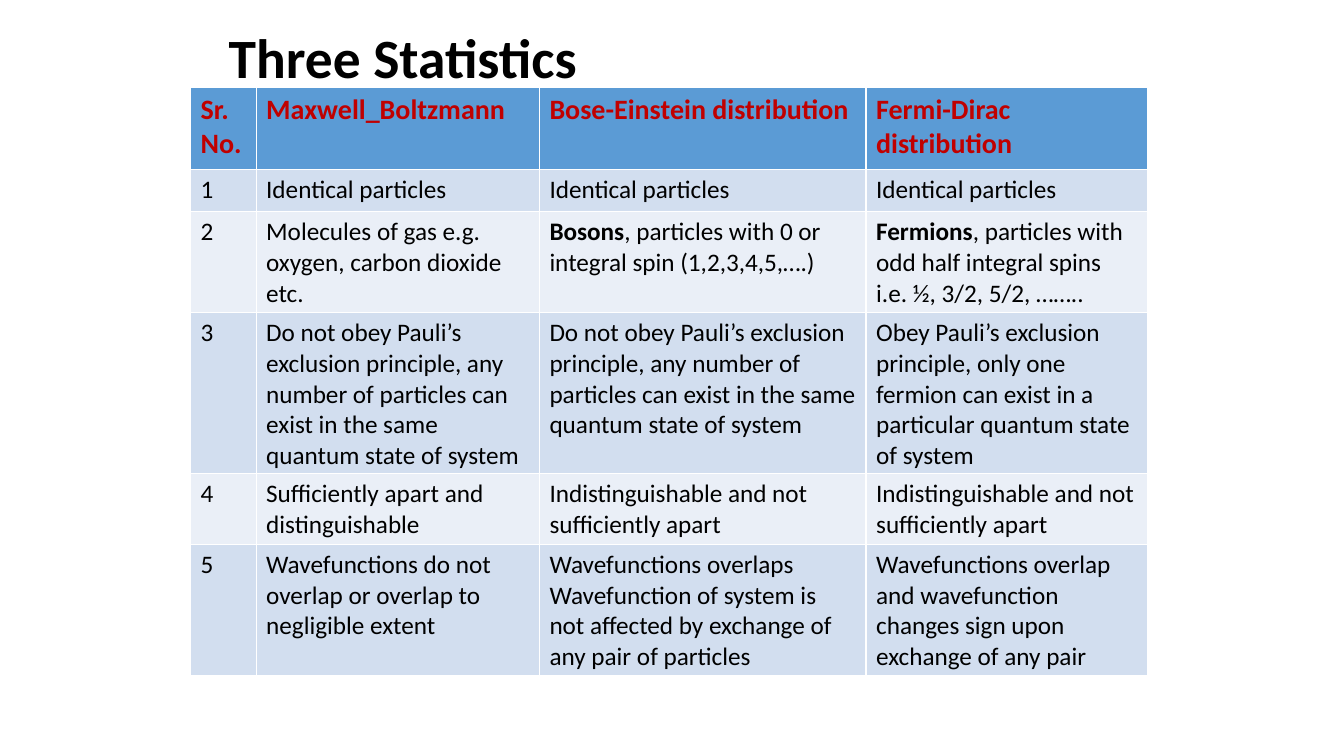
"""Build a slide with a table comparing the three statistics."""
from pptx import Presentation
from pptx.dml.color import RGBColor
from pptx.enum.text import MSO_ANCHOR
from pptx.util import Inches, Pt

TITLE = "Three Statistics"
HEADER = ["Sr. No.", "Maxwell_Boltzmann", "Bose-Einstein distribution", "Fermi-Dirac distribution"]
EXCLUSION_FREE = ("Do not obey Pauli’s exclusion principle, any number of particles "
                  "can exist in the same quantum state of system")
INDISTINCT = "Indistinguishable and not sufficiently apart"
PROPERTIES = [
    ["Identical particles"] * 3,
    ["Molecules of gas e.g. oxygen, carbon dioxide etc.",
     ("Bosons", ", particles with 0 or integral spin (1,2,3,4,5,….)"),
     ("Fermions", ", particles with odd half integral spins i.e. ½, 3/2, 5/2, ……..")],
    [EXCLUSION_FREE, EXCLUSION_FREE,
     "Obey Pauli’s exclusion principle, only one fermion can exist in a particular "
     "quantum state of system"],
    ["Sufficiently apart and distinguishable", INDISTINCT, INDISTINCT],
    ["Wavefunctions do not overlap or overlap to negligible extent",
     "Wavefunctions overlaps Wavefunction of system is not affected by exchange of "
     "any pair of particles",
     "Wavefunctions overlap and wavefunction changes sign upon exchange of any pair"],
]
COL_WIDTHS = [0.65, 2.81, 3.24, 2.79]
ROW_HEIGHTS = [0.81, 0.42, 1, 1.6, 0.7, 1.3]
COLORS = {"header": "5B9BD5", "odd": "D2DEEF", "even": "EAEFF7", "red": "C00000", "black": "000000"}


def style(p, size, color, bold=None):
    p.font.name = "Calibri"
    p.font.size = Pt(size)
    p.font.bold = bold
    p.font.color.rgb = RGBColor.from_string(COLORS[color])


def fill_cell(cell, content, row):
    cell.fill.solid()
    band = "header" if row == 0 else "odd" if row % 2 else "even"
    cell.fill.fore_color.rgb = RGBColor.from_string(COLORS[band])
    p = cell.text_frame.paragraphs[0]
    if row == 0:
        style(p, 20, "red", True)
    else:
        style(p, 18, "black")
    lead, rest = content if isinstance(content, tuple) else ("", content)
    if lead:
        r = p.add_run()
        r.text = lead
        r.font.bold = True
    p.add_run().text = rest


def main():
    prs = Presentation()
    prs.slide_width, prs.slide_height = Inches(13.33), Inches(7.5)
    s = prs.slides.add_slide(prs.slide_layouts[6])

    tf = s.shapes.add_textbox(Inches(2.17), Inches(0.3), Inches(9), Inches(0.61)).text_frame
    tf.word_wrap = True
    tf.vertical_anchor = MSO_ANCHOR.MIDDLE
    p = tf.paragraphs[0]
    p.text = TITLE
    p.line_spacing = 0.9
    style(p, 39.6, "black", True)

    rows = [HEADER] + [[str(n), *cells] for n, cells in enumerate(PROPERTIES, 1)]
    table = s.shapes.add_table(len(rows), len(HEADER), Inches(1.89), Inches(0.87),
                               Inches(sum(COL_WIDTHS)), Inches(sum(ROW_HEIGHTS))).table
    for column, width in zip(table.columns, COL_WIDTHS):
        column.width = Inches(width)
    for i, (cells, height) in enumerate(zip(rows, ROW_HEIGHTS)):
        table.rows[i].height = Inches(height)
        for j, content in enumerate(cells):
            fill_cell(table.cell(i, j), content, i)

    prs.save("out.pptx")


if __name__ == "__main__":
    main()
